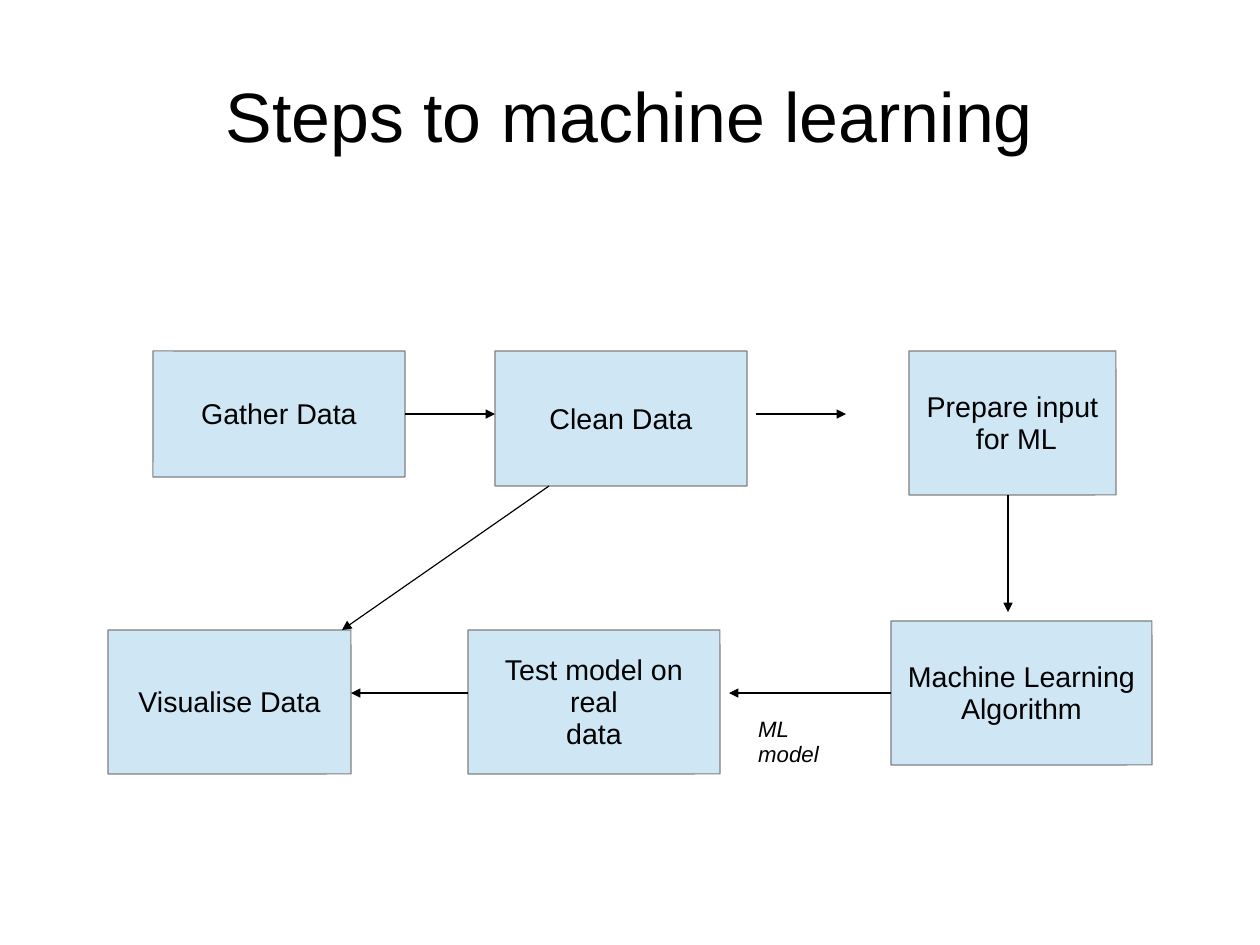
"""Build the flow chart of the steps to machine learning."""
from dataclasses import dataclass

from lxml.etree import SubElement
from pptx import Presentation
from pptx.dml.color import RGBColor as RGB
from pptx.enum.shapes import MSO_CONNECTOR as LINE, MSO_SHAPE as SHAPE
from pptx.enum.text import MSO_ANCHOR as ANCHOR, PP_ALIGN as ALIGN
from pptx.oxml.ns import qn
from pptx.util import Inches, Mm, Pt

COLS, ROWS = 140, 105
WIDTH, HEIGHT = Mm(280), Mm(210)


@dataclass(frozen=True)
class Theme:
    """Colours, font and type sizes of the slide."""
    font: str = "Arial"
    ink: RGB = RGB(0x00, 0x00, 0x00)
    fill: RGB = RGB(0xCF, 0xE7, 0xF5)
    border: RGB = RGB(0x80, 0x80, 0x80)
    title: int = 44
    step: int = 18
    label: int = 14
    line: float = 0.75
    spacing: float = 0.93


THEME = Theme()

STEPS = {
    "gather": ("Gather Data", 17, 39, 28, 14),
    "clean": ("Clean Data", 55, 39, 28, 15),
    "prepare": ("Prepare input\n for ML", 101, 39, 23, 16),
    "algorithm": ("Machine Learning\nAlgorithm", 99, 69, 29, 16),
    "test": ("Test model on real\ndata", 52, 70, 28, 16),
    "visualise": ("Visualise Data", 12, 70, 27, 16),
}

ARROWS = [
    ((45, 46), (55, 46), ("gather", 3)),
    ((84, 46), (94, 46), None),
    ((112, 55), (112, 68), None),
    ((99, 77), (81, 77), ("algorithm", 1)),
    ((61, 54), (38, 70), None),
    ((52, 77), (39, 77), None),
]


def grid(col, row):
    """Turn a grid column and row into slide lengths."""
    return int(WIDTH * col / COLS), int(HEIGHT * row / ROWS)


def write(s, text, size, align=ALIGN.CENTER, anchor=ANCHOR.MIDDLE,
          italic=False, wrap=True, insets=(0.1, 0.07, 0.1, 0.05)):
    """Fill a shape with formatted text, one paragraph a line."""
    tf = s.text_frame
    tf.word_wrap, tf.vertical_anchor = wrap, anchor
    (tf.margin_left, tf.margin_top,
     tf.margin_right, tf.margin_bottom) = map(Inches, insets)
    tf.text = text
    for p in tf.paragraphs:
        p.alignment, p.line_spacing = align, THEME.spacing
        for r in p.runs:
            r.font.name, r.font.size = THEME.font, Pt(size)
            r.font.italic = italic
            r.font.color.rgb = THEME.ink


def add_text(slide, text, col, row, cols, rows, size, **fmt):
    """Add a text box on the grid."""
    s = slide.shapes.add_textbox(*grid(col, row), *grid(cols, rows))
    write(s, text, size, **fmt)


def add_step(slide, text, col, row, cols, rows):
    """Add the box of one step and return it."""
    s = slide.shapes.add_shape(SHAPE.ROUNDED_RECTANGLE,
                               *grid(col, row), *grid(cols, rows))
    s.adjustments[0] = 0.001
    s.shadow.inherit = False
    s.fill.solid()
    s.fill.fore_color.rgb = THEME.fill
    s.line.color.rgb, s.line.width = THEME.border, Pt(THEME.line)
    write(s, text, THEME.step)
    return s


def add_arrow(slide, start, end, source=None):
    """Add an arrow, joined at its start to a box side if one is given."""
    s = slide.shapes.add_connector(LINE.STRAIGHT, *grid(*start), *grid(*end))
    if source:
        s.begin_connect(*source)
    s.line.color.rgb, s.line.width = THEME.ink, Pt(THEME.line)
    SubElement(s.line._get_or_add_ln(), qn("a:tailEnd"), type="triangle")
    SubElement(s._element.spPr, qn("a:effectLst"))


def main():
    """Build and save the slide."""
    prs = Presentation()
    prs.slide_width, prs.slide_height = WIDTH, HEIGHT
    slide = prs.slides.add_slide(prs.slide_layouts[6])
    add_text(slide, "Steps to machine learning", 7, 4.2, 126, 17.5,
             THEME.title, insets=(0, 0.04, 0, 0))
    boxes = {name: add_step(slide, *step) for name, step in STEPS.items()}
    for start, end, joint in ARROWS:
        source = (boxes[joint[0]], joint[1]) if joint else None
        add_arrow(slide, start, end, source)
    add_text(slide, "ML model", 83, 79, 13.3, 4, THEME.label,
             align=ALIGN.LEFT, anchor=ANCHOR.TOP, italic=True, wrap=False,
             insets=(0.1, 0.06, 0.1, 0.05))
    prs.save("out.pptx")


if __name__ == "__main__":
    main()
